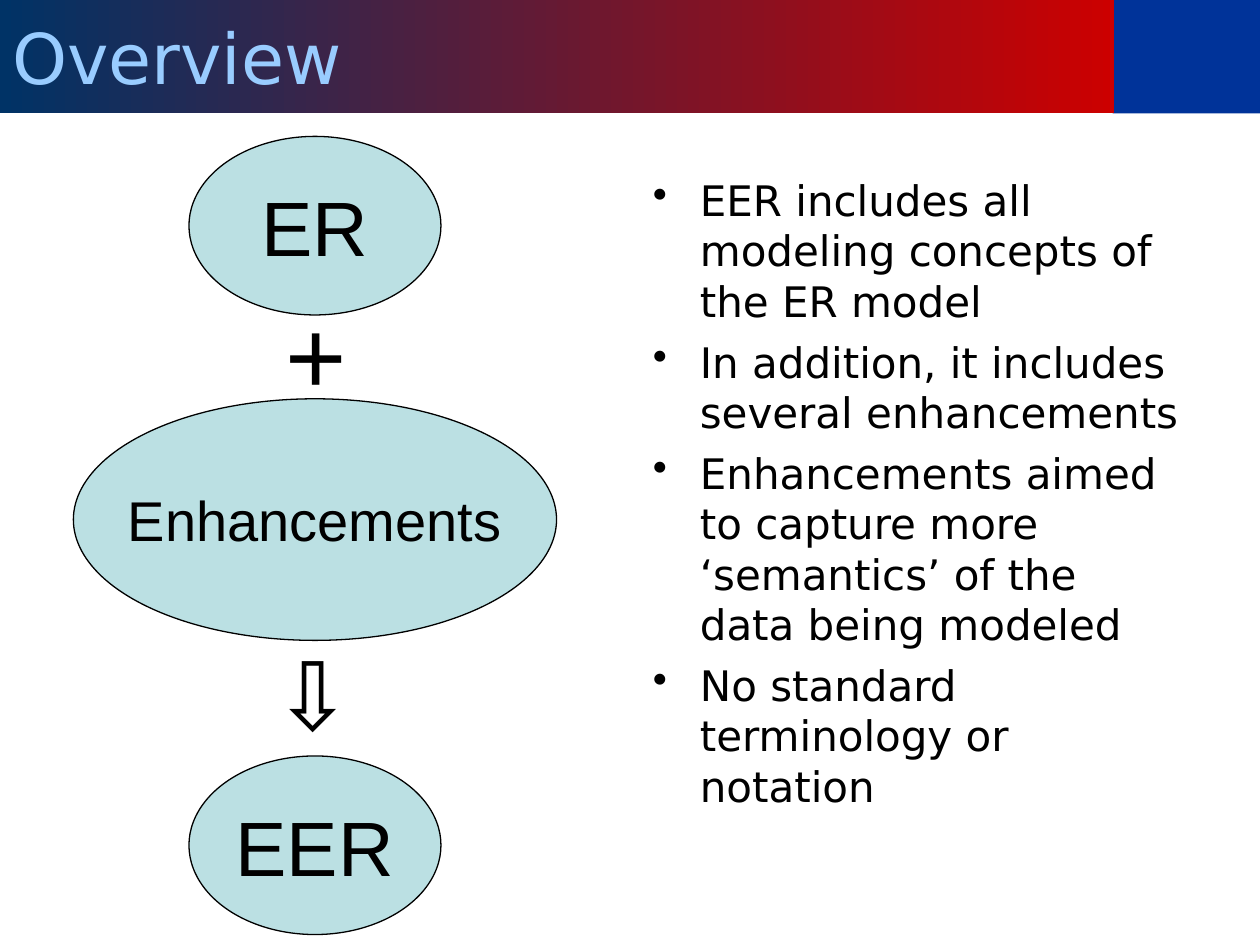
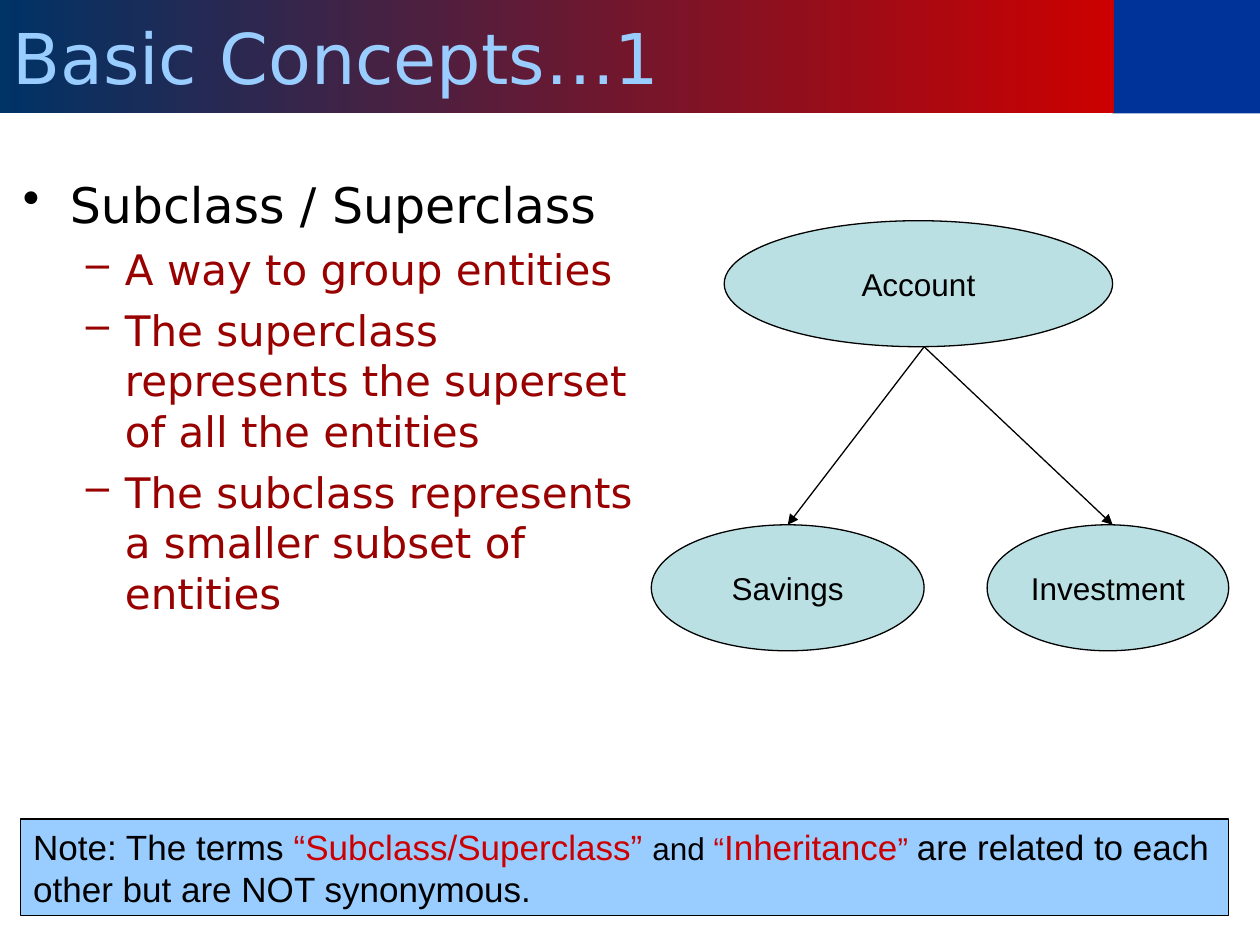
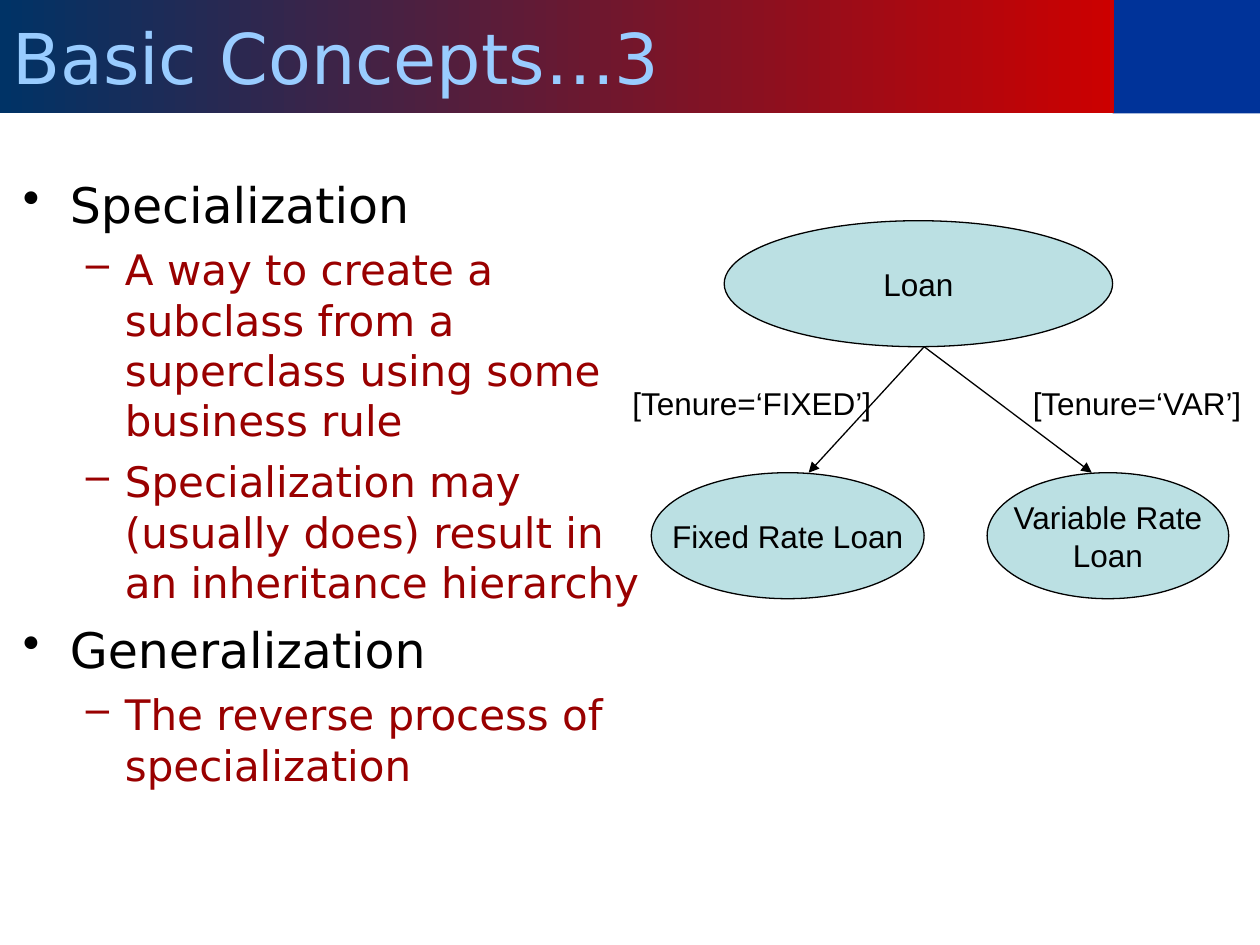
"""Build three slides on the enhanced entity-relationship model."""
from lxml import etree
from pptx import Presentation
from pptx.dml.color import RGBColor
from pptx.enum.shapes import MSO_CONNECTOR, MSO_SHAPE
from pptx.enum.text import MSO_ANCHOR, PP_ALIGN
from pptx.oxml.ns import qn
from pptx.util import Cm, Pt

ELLIPSE, RECTANGLE = MSO_SHAPE.OVAL, MSO_SHAPE.RECTANGLE
STRAIGHT = MSO_CONNECTOR.STRAIGHT
LEFT, CENTER = PP_ALIGN.LEFT, PP_ALIGN.CENTER
TOP, MIDDLE = MSO_ANCHOR.TOP, MSO_ANCHOR.MIDDLE

COLORS = {
    "black": "000000",
    "navy": "003366",
    "red": "CC0000",
    "blue": "003399",
    "sky": "99CCFF",
    "maroon": "990000",
    "teal": "BBE0E3",
}
LEVELS = [
    {"bullet": "•", "color": "black", "margin": 0.95, "hanging": 0.95},
    {"bullet": "–", "color": "maroon", "margin": 2.06, "hanging": 0.79},
]
BODY_FONT, LABEL_FONT = "DejaVu Sans", "Arial"


def rgb(name):
    return RGBColor.from_string(COLORS[name])


def apply_format(target, values):
    for name, value in values.items():
        setattr(target, name, value)


class Deck:
    def __init__(self):
        self.presentation = Presentation()
        apply_format(self.presentation,
                     {"slide_width": Cm(25.4), "slide_height": Cm(19.05)})
        self.slide = None

    def add_slide(self, title):
        layout = self.presentation.slide_layouts[6]
        self.slide = self.presentation.slides.add_slide(layout)
        self.shape(RECTANGLE, (22.43, 0, 2.97, 2.29), "blue", outlined=False)
        band = self.shape(RECTANGLE, (0, 0, 22.45, 2.29), "navy", outlined=False)
        band.fill.gradient()
        band.fill.gradient_angle = 0
        for stop, color in zip(band.fill.gradient_stops, ("navy", "red")):
            stop.color.rgb = rgb(color)
        self.put_text(band, [[(title, 40, "sky")]], LEFT, font=BODY_FONT)

    def shape(self, kind, box, fill, outlined=True):
        shape = self.slide.shapes.add_shape(kind, *map(Cm, box))
        shape.shadow.inherit = False
        shape.fill.solid()
        shape.fill.fore_color.rgb = rgb(fill)
        if outlined:
            shape.line.color.rgb = rgb("black")
            shape.line.width = Pt(0.75)
        else:
            shape.line.fill.background()
        return shape

    def put_text(self, shape, lines, align, anchor=MIDDLE, wrap=True, font=LABEL_FONT):
        frame = shape.text_frame
        apply_format(frame, {"word_wrap": wrap, "vertical_anchor": anchor})
        for index, runs in enumerate(lines):
            paragraph = frame.add_paragraph() if index else frame.paragraphs[0]
            paragraph.alignment = align
            for text, size, color in runs:
                run = paragraph.add_run()
                run.text = text
                apply_format(run.font, {"name": font, "size": Pt(size)})
                run.font.color.rgb = rgb(color)
        return frame.paragraphs

    def ellipse(self, box, text, size=18):
        ellipse = self.shape(ELLIPSE, box, "teal")
        lines = [[(line, size, "black")] for line in text.split("\n")]
        self.put_text(ellipse, lines, CENTER, wrap=False)

    def label(self, box, text, size=18, align=LEFT):
        label = self.slide.shapes.add_textbox(*map(Cm, box))
        self.put_text(label, [[(text, size, "black")]], align, TOP, wrap=False)

    def note(self, box, runs):
        note = self.shape(RECTANGLE, box, "sky")
        self.put_text(note, [runs], LEFT, TOP)

    def bullets(self, box, items, sizes=(28, 24), gaps=(7, 6)):
        body = self.slide.shapes.add_textbox(*map(Cm, box))
        lines = [[(text, sizes[level], LEVELS[level]["color"])] for level, text in items]
        paragraphs = self.put_text(body, lines, LEFT, TOP, font=BODY_FONT)
        for index, (paragraph, (level, _)) in enumerate(zip(paragraphs, items)):
            style = LEVELS[level]
            properties = paragraph._p.get_or_add_pPr()
            properties.set("marL", str(Cm(style["margin"])))
            properties.set("indent", str(-Cm(style["hanging"])))
            color = etree.SubElement(properties, qn("a:buClr"))
            etree.SubElement(color, qn("a:srgbClr"), val=COLORS[style["color"]])
            etree.SubElement(properties, qn("a:buChar"), char=style["bullet"])
            paragraph.level = level
            paragraph.space_before = Pt(gaps[level] if index else 0)

    def arrow(self, start, end):
        points = map(Cm, (*start, *end))
        arrow = self.slide.shapes.add_connector(STRAIGHT, *points)
        arrow.line.color.rgb = rgb("black")
        arrow.line.width = Pt(0.75)
        etree.SubElement(arrow.line._get_or_add_ln(), qn("a:tailEnd"), type="triangle")
        etree.SubElement(arrow._element.spPr, qn("a:effectLst"))

    def hierarchy(self, parent, children, top, tips):
        self.ellipse((14.6, 4.45, 7.83, 2.54), parent)
        for child, left, width in zip(children, (13.13, 19.9), (5.5, 4.87)):
            self.ellipse((left, top, width, 2.54), child)
        for tip in tips:
            self.arrow((18.63, 6.99), (tip, top))


def build_overview(deck):
    deck.add_slide("Overview")
    deck.bullets((12.91, 3.39, 11.22, 13.64), [
        (0, "EER includes all modeling concepts of the ER model"),
        (0, "In addition, it includes several enhancements"),
        (0, "Enhancements aimed to capture more ‘semantics’ of the data being modeled"),
        (0, "No standard terminology or notation"),
    ], sizes=(24,), gaps=(6,))
    deck.ellipse((3.81, 2.75, 5.08, 3.6), "ER", 44)
    deck.ellipse((1.48, 8.04, 9.74, 4.87), "Enhancements", 32)
    deck.ellipse((3.81, 15.24, 5.08, 3.6), "EER", 44)
    deck.label((5.5, 5.72, 1.75, 2.8), "+", 60, CENTER)
    deck.label((5.11, 12.7, 2.41, 2.54), "⇩", 54, CENTER)


def build_subclass(deck, body_box):
    deck.add_slide("Basic Concepts…1")
    deck.bullets(body_box, [
        (0, "Subclass / Superclass"),
        (1, "A way to group entities"),
        (1, "The superclass represents the superset of all the entities"),
        (1, "The subclass represents a smaller subset of entities"),
    ])
    deck.hierarchy("Account", ("Savings", "Investment"), 10.58, (15.88, 22.43))
    deck.note((0.42, 16.51, 24.34, 1.95), [
        ("Note: The terms ", 20, "black"),
        ("“Subclass/Superclass” ", 20, "red"),
        ("and ", 18, "black"),
        ("“", 18, "red"),
        ("Inheritance", 20, "red"),
        ("” ", 18, "red"),
        ("are related to each other but are NOT synonymous.", 20, "black"),
    ])


def build_specialization(deck, body_box):
    deck.add_slide("Basic Concepts…3")
    deck.bullets(body_box, [
        (0, "Specialization"),
        (1, "A way to create a subclass from a superclass using some business rule"),
        (1, "Specialization may (usually does) result in an inheritance hierarchy"),
        (0, "Generalization"),
        (1, "The reverse process of specialization"),
    ])
    deck.hierarchy("Loan", ("Fixed Rate Loan", "Variable Rate\nLoan"),
                   9.53, (16.3, 22.01))
    deck.label((20.57, 7.62, 4.83, 1.02), "[Tenure=‘VAR’]")
    deck.label((12.5, 7.62, 5.38, 1.02), "[Tenure=‘FIXED’]")


def main():
    deck = Deck()
    body_box = (0.21, 3.39, 13.13, 13.64)
    build_overview(deck)
    build_subclass(deck, body_box)
    build_specialization(deck, body_box)
    deck.presentation.save("out.pptx")


if __name__ == "__main__":
    main()
